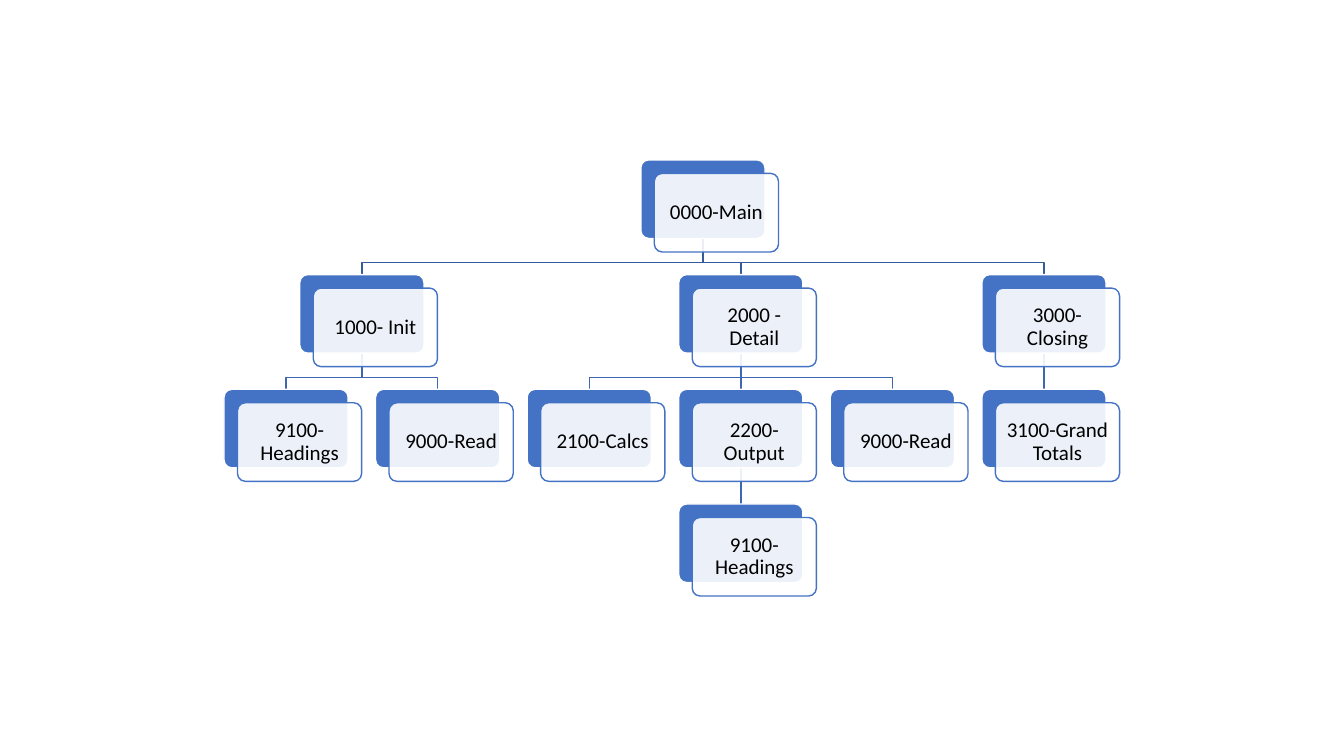
from collections.abc import Iterator
from dataclasses import dataclass, field
from itertools import count

from lxml.etree import SubElement
from pptx import Presentation
from pptx.dml.color import RGBColor
from pptx.enum.shapes import MSO_CONNECTOR, MSO_SHAPE
from pptx.enum.text import MSO_ANCHOR, PP_ALIGN
from pptx.oxml.ns import qn
from pptx.shapes.autoshape import Shape
from pptx.slide import Slide
from pptx.util import Cm, Pt

BLUE = RGBColor(0x44, 0x72, 0xC4)
TOP_LINK = RGBColor(0x36, 0x5B, 0x9D)
LOWER_LINK = RGBColor(0x3E, 0x67, 0xB2)
WHITE = RGBColor(0xFF, 0xFF, 0xFF)
BLACK = RGBColor(0x00, 0x00, 0x00)

# Chart grid, in centimetres
FIRST_CENTRE, COLUMN_PITCH = 7.21, 3.82
FIRST_TOP, ROW_PITCH = 4.03, 2.89
BOX_WIDTH, BOX_HEIGHT = 3.13, 1.98
PANEL_SHIFT = 0.34
BEND_DROP = 0.61

FRAME_FORMAT = {
    "word_wrap": True,
    "vertical_anchor": MSO_ANCHOR.MIDDLE,
    "margin_left": Cm(0.15),
    "margin_right": Cm(0.15),
    "margin_top": Cm(0.15),
    "margin_bottom": Cm(0.15),
}
PARA_FORMAT = {"alignment": PP_ALIGN.CENTER, "line_spacing": 0.9}
FONT_FORMAT = {"name": "Calibri", "size": Pt(15)}


@dataclass
class Module:
    label: str
    children: list["Module"] = field(default_factory=list)
    column: float = 0
    level: int = 0

    @property
    def centre(self) -> float:
        return FIRST_CENTRE + self.column * COLUMN_PITCH

    @property
    def top(self) -> float:
        return FIRST_TOP + self.level * ROW_PITCH

    def walk(self) -> Iterator["Module"]:
        yield self
        for child in self.children:
            yield from child.walk()


def arrange(module: Module, columns: Iterator[int], level: int = 0) -> None:
    """Give each leaf the next column and centre parents over their children."""
    module.level = level
    for child in module.children:
        arrange(child, columns, level + 1)
    if module.children:
        module.column = (module.children[0].column + module.children[-1].column) / 2
    else:
        module.column = next(columns)


def apply_format(target: object, values: dict[str, object]) -> None:
    for name, value in values.items():
        setattr(target, name, value)


def draw_link(page: Slide, parent: Module, child: Module) -> None:
    start_x, start_y = Cm(parent.centre), Cm(parent.top + BOX_HEIGHT)
    end_x, end_y = Cm(child.centre), Cm(child.top)
    if parent.column == child.column:
        link = page.shapes.add_connector(
            MSO_CONNECTOR.STRAIGHT, start_x, start_y, end_x, end_y)
        SubElement(link.element.spPr, qn("a:effectLst"))
    else:
        bend_y = Cm(parent.top + BOX_HEIGHT + BEND_DROP)
        outline = page.shapes.build_freeform(start_x, start_y)
        outline.add_line_segments(
            [(start_x, bend_y), (end_x, bend_y), (end_x, end_y)], close=False)
        link = outline.convert_to_shape()
        link.fill.background()
        link.shadow.inherit = False
    link.line.color.rgb = LOWER_LINK if parent.level else TOP_LINK
    link.line.width = Pt(1)


def draw_box(page: Slide, module: Module, shift: float,
             fill: RGBColor, line: RGBColor) -> Shape:
    box = page.shapes.add_shape(
        MSO_SHAPE.ROUNDED_RECTANGLE,
        Cm(module.centre - BOX_WIDTH / 2 + shift), Cm(module.top + shift),
        Cm(BOX_WIDTH), Cm(BOX_HEIGHT))
    box.adjustments[0] = 0.1
    box.shadow.inherit = False
    box.fill.solid()
    box.fill.fore_color.rgb = fill
    box.line.color.rgb = line
    box.line.width = Pt(1)
    return box


def draw_module(page: Slide, module: Module) -> None:
    draw_box(page, module, 0, BLUE, WHITE)
    panel = draw_box(page, module, PANEL_SHIFT, WHITE, BLUE)
    fill_color = panel.element.spPr.find(qn("a:solidFill")).find(qn("a:srgbClr"))
    SubElement(fill_color, qn("a:alpha"), val="90000")

    frame = panel.text_frame
    apply_format(frame, FRAME_FORMAT)
    para = frame.paragraphs[0]
    apply_format(para, PARA_FORMAT)
    span = para.add_run()
    span.text = module.label
    apply_format(span.font, FONT_FORMAT)
    span.font.color.rgb = BLACK


# Program structure
main = Module("0000-Main", [
    Module("1000- Init", [Module("9100-Headings"), Module("9000-Read")]),
    Module("2000 - Detail", [
        Module("2100-Calcs"),
        Module("2200-Output", [Module("9100-Headings")]),
        Module("9000-Read"),
    ]),
    Module("3000-Closing", [Module("3100-Grand Totals")]),
])
arrange(main, count())

deck = Presentation()
deck.slide_width, deck.slide_height = Cm(33.87), Cm(19.05)
page = deck.slides.add_slide(deck.slide_layouts[6])

# Links lie behind the boxes
for module in main.walk():
    for child in module.children:
        draw_link(page, module, child)
for module in main.walk():
    draw_module(page, module)

deck.save("out.pptx")
